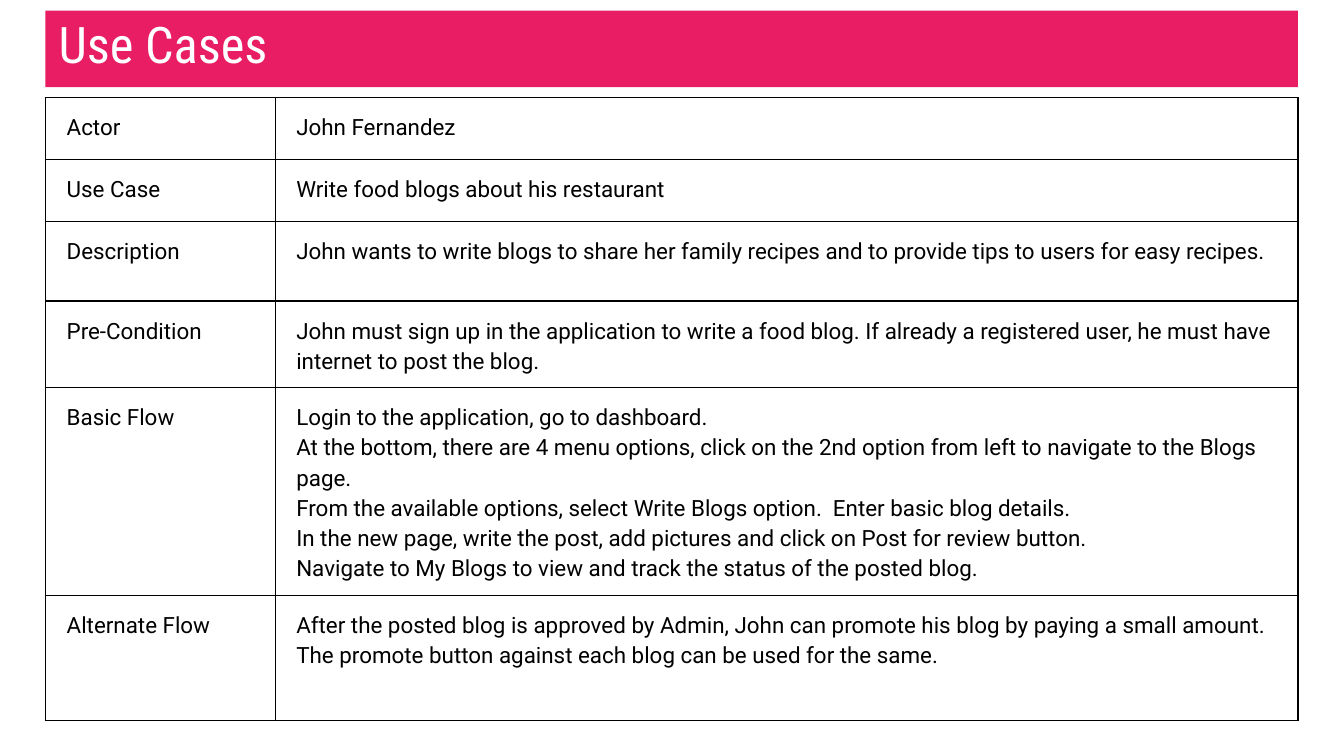
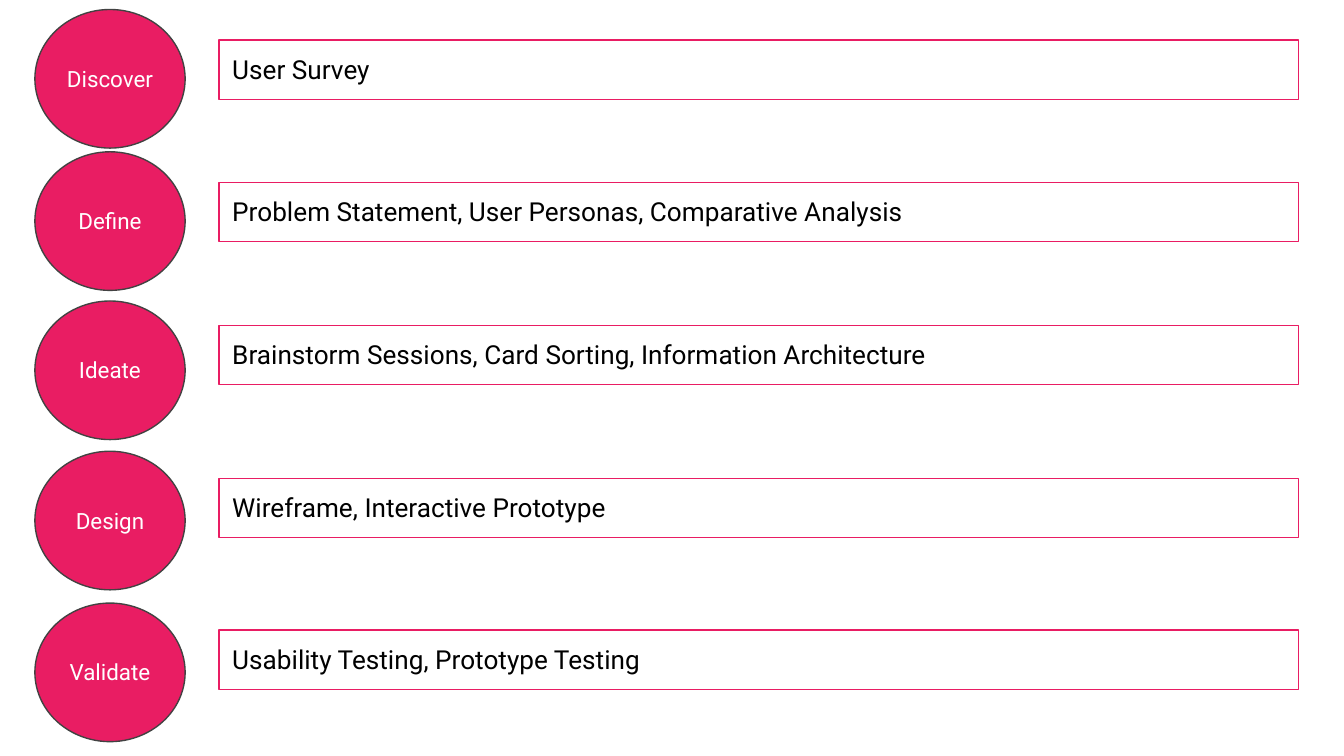
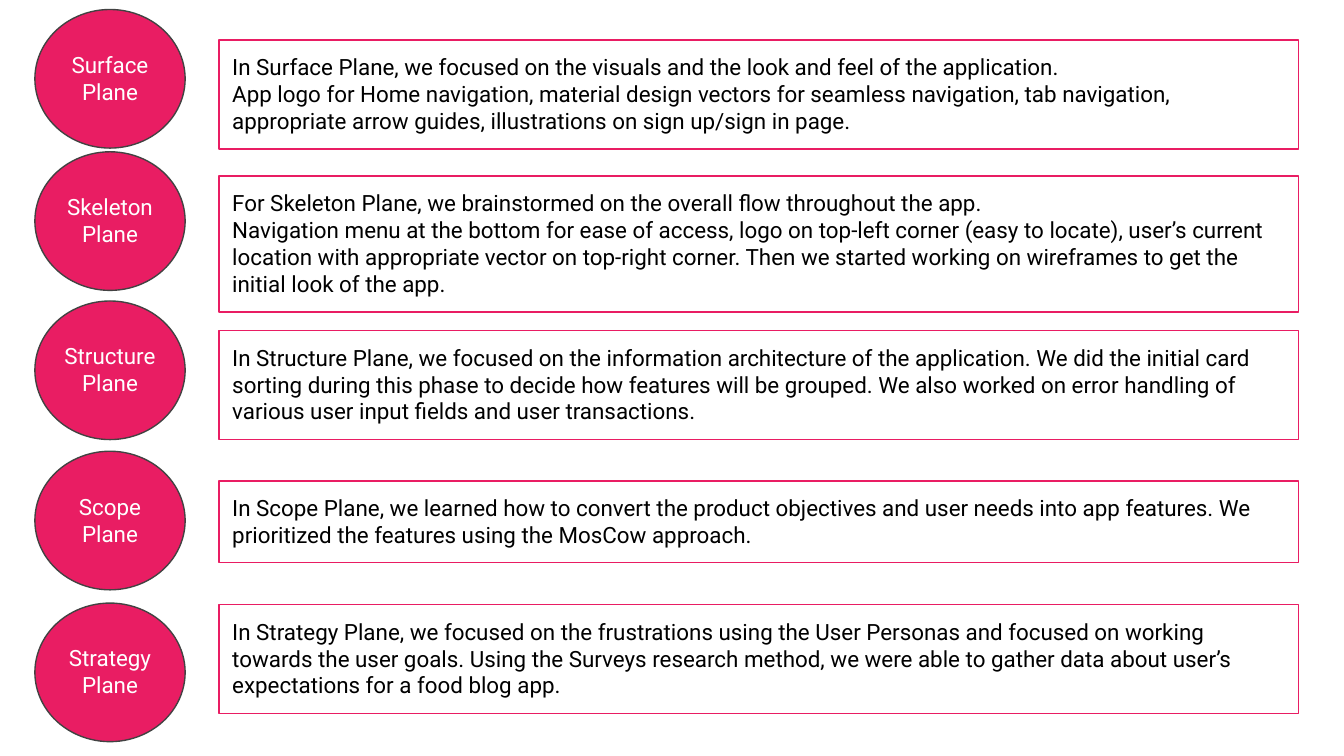
from copy import deepcopy

from lxml.etree import SubElement
from pptx import Presentation
from pptx.dml.color import RGBColor as RGB
from pptx.enum.shapes import MSO_SHAPE as SHAPE
from pptx.enum.text import MSO_ANCHOR as ANCHOR, MSO_AUTO_SIZE as FIT, PP_ALIGN as ALIGN
from pptx.oxml.ns import qn
from pptx.util import Cm, Pt

COLORS = {"accent": "E91D63", "outline": "424242", "text": "000000", "light": "FFFFFF"}
TITLE = {"name": "Roboto Condensed", "size": Pt(27)}
BODY = {"name": "Roboto", "size": Pt(12)}
LARGE = {"name": "Roboto", "size": Pt(14)}
INSETS = {f"margin_{side}": Cm(0.25) for side in ("left", "right", "top", "bottom")}

BAND_BOX = (0.86, 0.2, 23.67, 1.45)
TABLE_BOX = (0.86, 1.85, 23.67, 10.88)
LABEL_COL = 4.34
ROW_HEIGHTS = (1.17, 1.17, 1.5, 1.5, 3.18, 2.36)
CIRCLE_TOPS = (0.18, 2.87, 5.69, 8.53, 11.4)
CIRCLE_LEFT, CIRCLE_W, CIRCLE_H = 0.66, 2.84, 2.62
NOTE_LEFT, NOTE_W = 4.14, 20.4

USE_CASE = [
    ("Actor", ["John Fernandez"]),
    ("Use Case", ["Write food blogs about his restaurant"]),
    ("Description", [
        "John wants to write blogs to share her family recipes and to provide tips to users "
        "for easy recipes."]),
    ("Pre-Condition", [
        "John must sign up in the application to write a food blog. If already a registered "
        "user, he must have internet to post the blog."]),
    ("Basic Flow", [
        "Login to the application, go to dashboard.",
        "At the bottom, there are 4 menu options, click on the 2nd option from left to "
        "navigate to the Blogs page.",
        "From the available options, select Write Blogs option.  Enter basic blog details.",
        "In the new page, write the post, add pictures and click on Post for review button.",
        "Navigate to My Blogs to view and track the status of the posted blog."]),
    ("Alternate Flow", [
        "After the posted blog is approved by Admin, John can promote his blog by paying a "
        "small amount.",
        "The promote button against each blog can be used for the same."]),
]

PROCESS = [
    (["Discover"], 0.76, 1.12, "User Survey"),
    (["Define"], 3.45, 1.12, "Problem Statement, User Personas, Comparative Analysis"),
    (["Ideate"], 6.15, 1.12, "Brainstorm Sessions, Card Sorting, Information Architecture"),
    (["Design"], 9.04, 1.12, "Wireframe, Interactive Prototype"),
    (["Validate"], 11.91, 1.12, "Usability Testing, Prototype Testing"),
]

PLANES = [
    (["Surface", "Plane"], 0.76, 2.06,
     "In Surface Plane, we focused on the visuals and the look and feel of the application. \n"
     "App logo for Home navigation, material design vectors for seamless navigation, tab "
     "navigation, appropriate arrow guides, illustrations on sign up/sign in page."),
    (["Skeleton", "Plane"], 3.33, 2.57,
     "For Skeleton Plane, we brainstormed on the overall flow throughout the app. \n"
     "Navigation menu at the bottom for ease of access, logo on top-left corner (easy to "
     "locate), user’s current location with appropriate vector on top-right corner. Then we "
     "started working on wireframes to get the initial look of the app."),
    (["Structure", "Plane"], 6.25, 2.06,
     "In Structure Plane, we focused on the information architecture of the application. We "
     "did the initial card sorting during this phase to decide how features will be grouped. "
     "We also worked on error handling of various user input fields and user transactions."),
    (["Scope Plane"], 9.09, 1.55,
     "In Scope Plane, we learned how to convert the product objectives and user needs into "
     "app features. We prioritized the features using the MosCow approach."),
    (["Strategy Plane"], 11.43, 2.06,
     "In Strategy Plane, we focused on the frustrations using the User Personas and focused "
     "on working towards the user goals. Using the Surveys research method, we were able to "
     "gather data about user’s expectations for a food blog app."),
]


def set_attrs(obj, values):
    """Set every attribute named in the dict."""
    for name, value in values.items():
        setattr(obj, name, value)


def write(tf, paras, font, color, para=None):
    """Fill a text frame, styling every run and line break."""
    for i, text in enumerate(paras):
        p = tf.add_paragraph() if i else tf.paragraphs[0]
        p.text = text
        set_attrs(p, para or {"alignment": ALIGN.LEFT})
        for r in p.runs:
            set_attrs(r.font, font)
            r.font.color.rgb = RGB.from_string(COLORS[color])
        for br in p._p.findall(qn("a:br")):
            br.insert(0, deepcopy(p.runs[0].font._element))


def add_box(slide, kind, box, fill=None, line=None):
    """Add a flat preset shape with an optional fill and outline."""
    sp = slide.shapes.add_shape(kind, *map(Cm, box))
    sp.shadow.inherit = False
    if fill:
        sp.fill.solid()
        sp.fill.fore_color.rgb = RGB.from_string(COLORS[fill])
    else:
        sp.fill.background()
    if line:
        sp.line.color.rgb = RGB.from_string(COLORS[line])
        sp.line.width = Pt(0.75)
    else:
        sp.line.fill.background()
    return sp


def add_title_band(slide, box, title):
    """Draw the coloured title band."""
    tf = add_box(slide, SHAPE.RECTANGLE, box, fill="accent").text_frame
    set_attrs(tf, {**INSETS, "word_wrap": True, "vertical_anchor": ANCHOR.BOTTOM})
    write(tf, [title], TITLE, "light")


def add_borders(cell):
    """Give a table cell a thin line on all four sides."""
    tc_pr = cell._tc.get_or_add_tcPr()
    for side in "LRTB":
        ln = SubElement(tc_pr, qn(f"a:ln{side}"), w=str(Pt(0.75)))
        SubElement(SubElement(ln, qn("a:solidFill")), qn("a:srgbClr"), val=COLORS["text"])


def add_use_case_table(slide, box, rows):
    """Draw the two-column use case table."""
    table = slide.shapes.add_table(len(rows), 2, *map(Cm, box)).table
    set_attrs(table, {"first_row": False, "horz_banding": False})
    for col, width in zip(table.columns, (LABEL_COL, box[2] - LABEL_COL)):
        col.width = Cm(width)
    for row, height, (label, paras) in zip(table.rows, ROW_HEIGHTS, rows):
        row.height = Cm(height)
        for cell, content in zip(row.cells, ([label], paras)):
            set_attrs(cell, INSETS)
            add_borders(cell)
            cell.fill.background()
            write(cell.text_frame, content, BODY, "text", {"line_spacing": 1.15})
            for p in cell.text_frame.paragraphs:
                p._p.get_or_add_pPr().set("marL", str(Cm(0.15)))


def add_stage(slide, box, label, height):
    """Draw a circle with its label centred in the box."""
    left, top, width, full = box
    add_box(slide, SHAPE.OVAL, box, fill="accent", line="outline")
    label_box = (left + 0.11, top + (full - height) / 2, width - 0.22, height)
    tf = slide.shapes.add_textbox(*map(Cm, label_box)).text_frame
    set_attrs(tf, {**INSETS, "word_wrap": True, "auto_size": FIT.SHAPE_TO_FIT_TEXT})
    write(tf, label, BODY, "light", {"alignment": ALIGN.CENTER})


def add_note(slide, box, text, font):
    """Draw an outlined text box."""
    tf = add_box(slide, SHAPE.RECTANGLE, box, line="accent").text_frame
    set_attrs(tf, {**INSETS, "word_wrap": True, "vertical_anchor": ANCHOR.TOP,
                   "auto_size": FIT.SHAPE_TO_FIT_TEXT})
    write(tf, [text], font, "text")


def add_stage_slide(slide, stages, font, label_height):
    """Place a column of circles beside their notes."""
    for top, (label, *_) in zip(CIRCLE_TOPS, stages):
        add_stage(slide, (CIRCLE_LEFT, top, CIRCLE_W, CIRCLE_H), label, label_height)
    for _, top, height, text in stages:
        add_note(slide, (NOTE_LEFT, top, NOTE_W, height), text, font)


def main():
    """Build and save the deck."""
    prs = Presentation()
    set_attrs(prs, {"slide_width": Cm(25.4), "slide_height": Cm(14.29)})
    use_case, process, planes = (prs.slides.add_slide(prs.slide_layouts[6]) for _ in range(3))
    add_title_band(use_case, BAND_BOX, "Use Cases")
    add_use_case_table(use_case, TABLE_BOX, USE_CASE)
    add_stage_slide(process, PROCESS, LARGE, 1.02)
    add_stage_slide(planes, PLANES, BODY, 1.55)
    prs.save("out.pptx")


if __name__ == "__main__":
    main()
